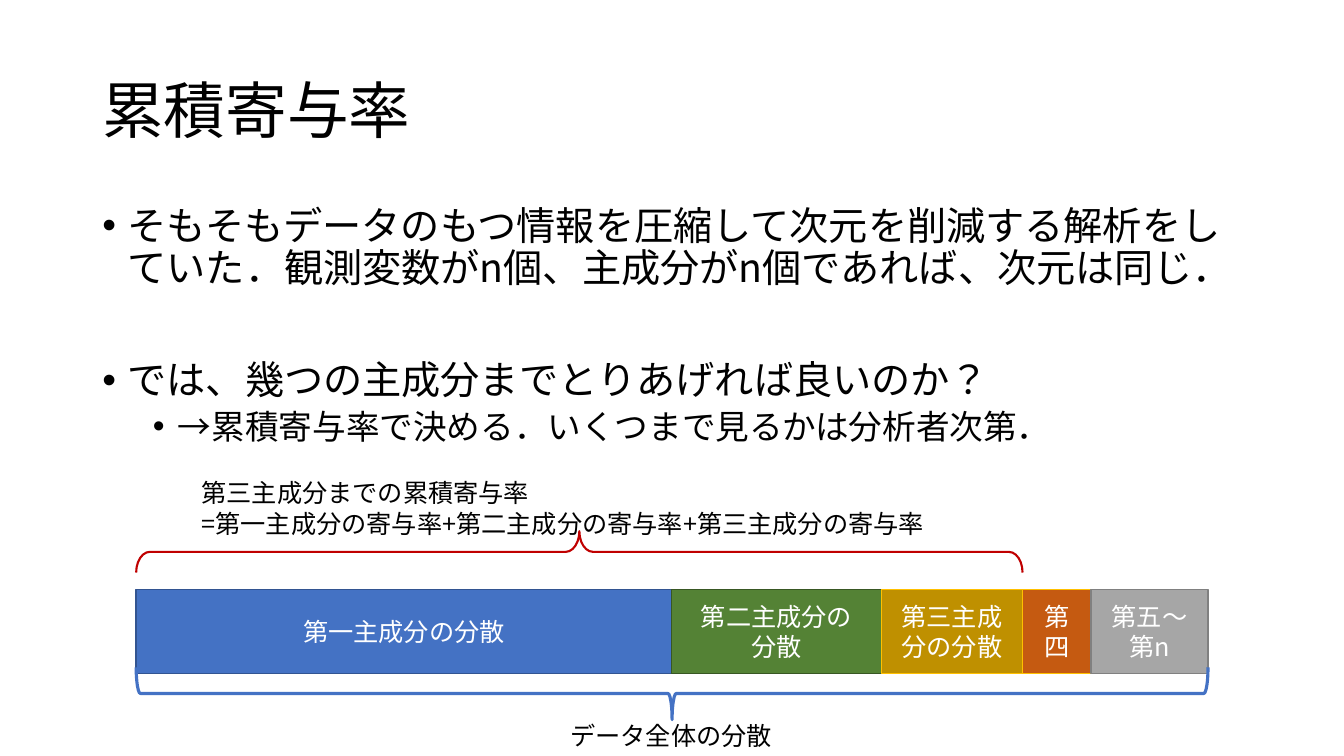
from dataclasses import dataclass
from itertools import accumulate

from lxml.etree import SubElement as Sub
from pptx import Presentation
from pptx.dml.color import RGBColor as Rgb
from pptx.enum.lang import MSO_LANGUAGE_ID as Lang
from pptx.enum.shapes import MSO_SHAPE as Shape
from pptx.enum.text import MSO_ANCHOR as Anchor, PP_ALIGN as Align
from pptx.oxml.ns import qn
from pptx.util import Inches, Pt


@dataclass(frozen=True)
class Theme:
    """Colours, font and type sizes."""
    font: str = "Noto Sans CJK JP"
    ink: str = "000000"
    white: str = "FFFFFF"
    blue: str = "4472C4"
    navy: str = "325491"
    green: str = "548235"
    pine: str = "385723"
    gold: str = "BF9000"
    amber: str = "FFC000"
    rust: str = "C55A11"
    silver: str = "A6A6A6"
    gray: str = "808080"
    red: str = "C00000"
    title: int = 44
    body: int = 28
    sub: int = 24
    label: int = 18


class Page:
    """Draws on one slide, with lengths in percent of its width and height."""

    def __init__(self, deck, theme):
        self.theme = theme
        self.wide, self.high = deck.slide_width, deck.slide_height
        self.shapes = deck.slides.add_slide(deck.slide_layouts[6]).shapes

    def area(self, x, y, w, h):
        """Turn percent into slide lengths."""
        return [round(part * full / 100) for part, full in
                zip((x, y, w, h), (self.wide, self.high) * 2)]

    def style(self, para, size, color):
        """Format the runs of a paragraph."""
        for run in para.runs:
            font = run.font
            font.size, font.name = Pt(size), self.theme.font
            font.color.rgb = Rgb.from_string(color)
            font.language_id = Lang.JAPANESE
            Sub(run._r.get_or_add_rPr(), qn("a:ea"), typeface=self.theme.font)

    def text(self, words, box, size, wrap=True, anchor=Anchor.TOP):
        """Add a text box and return its frame."""
        frame = self.shapes.add_textbox(*self.area(*box)).text_frame
        frame.text, frame.word_wrap = words, wrap
        frame.vertical_anchor = anchor
        for para in frame.paragraphs:
            self.style(para, size, self.theme.ink)
        return frame

    def title(self, words, box):
        """Add the heading."""
        frame = self.text(words, box, self.theme.title, anchor=Anchor.MIDDLE)
        frame.paragraphs[0].line_spacing = 0.9

    def bullets(self, items, box):
        """Add a list of (level, space before, words)."""
        words = "\n".join(item[2] for item in items)
        frame = self.text(words, box, self.theme.body)
        for para, (level, gap, _) in zip(frame.paragraphs, items):
            para.level, para.space_before = level, Pt(gap)
            para.line_spacing = 0.9
            if level:
                for run in para.runs:
                    run.font.size = Pt(self.theme.sub)
            props = para._p.get_or_add_pPr()
            props.set("marL", str(Inches(0.25 + 0.5 * level)))
            props.set("indent", str(Inches(-0.25)))
            Sub(props, qn("a:buFont"), typeface="Arial")
            Sub(props, qn("a:buChar"), char="•")

    def bar(self, words, box, fill, edge):
        """Add a filled block with a centred label."""
        block = self.shapes.add_shape(Shape.RECTANGLE, *self.area(*box))
        block.shadow.inherit = False
        block.fill.solid()
        block.fill.fore_color.rgb = Rgb.from_string(fill)
        block.line.color.rgb, block.line.width = Rgb.from_string(edge), Pt(1)
        frame = block.text_frame
        frame.text, frame.word_wrap = words, True
        frame.vertical_anchor = Anchor.MIDDLE
        for para in frame.paragraphs:
            para.alignment = Align.CENTER
            self.style(para, self.theme.label, self.theme.white)

    def brace(self, kind, box, color, width, curve):
        """Add a brace turned to span the given area."""
        x, y, w, h = self.area(*box)
        mark = self.shapes.add_shape(
            kind, x + (w - h) // 2, y + (h - w) // 2, h, w)
        mark.rotation, mark.shadow.inherit = 90, False
        mark.adjustments[0] = curve
        mark.fill.background()
        mark.line.color.rgb = Rgb.from_string(color)
        mark.line.width = Pt(width)


def main():
    """Build and save the slide."""
    deck = Presentation()
    deck.slide_width, deck.slide_height = Inches(13.33), Inches(7.5)
    look = Theme()
    page = Page(deck, look)

    page.title("累積寄与率", (6.88, 5.32, 86.25, 19.33))
    page.bullets([
        (0, 10, "そもそもデータのもつ情報を圧縮して次元を削減する解析をしていた．"
                "観測変数がn個、主成分がn個であれば、次元は同じ．"),
        (0, 50, "では、幾つの主成分までとりあげれば良いのか？"),
        (1, 5, "→累積寄与率で決める．いくつまで見るかは分析者次第．"),
    ], (6.88, 26.62, 86.25, 63.45))

    parts = [
        ("第一主成分の分散", 39.85, look.blue, look.navy),
        ("第二主成分の\n分散", 15.6, look.green, look.pine),
        ("第三主成分の分散", 10.5, look.gold, look.amber),
        ("第四", 5.1, look.rust, look.amber),
        ("第五〜第n", 8.7, look.silver, look.gray),
    ]
    left = 10.13
    ends = list(accumulate(part[1] for part in parts))
    for (words, width, fill, edge), end in zip(parts, ends):
        page.bar(words, (left + end - width, 78, width, 11.13), fill, edge)

    page.brace(Shape.RIGHT_BRACE, (left, 88.27, ends[-1], 6.93),
               look.blue, 2.25, 0.08)
    page.text("データ全体の分散", (41.7, 94.67, 16.65, 5.33), look.label, False)
    page.brace(Shape.LEFT_BRACE, (left, 70.27, ends[2], 5.47),
               look.red, 1.5, 0.33)
    page.text("第三主成分までの累積寄与率\n"
              "=第一主成分の寄与率+第二主成分の寄与率+第三主成分の寄与率",
              (14.25, 62.53, 63.3, 9.47), look.label)
    deck.save("out.pptx")


if __name__ == "__main__":
    main()
